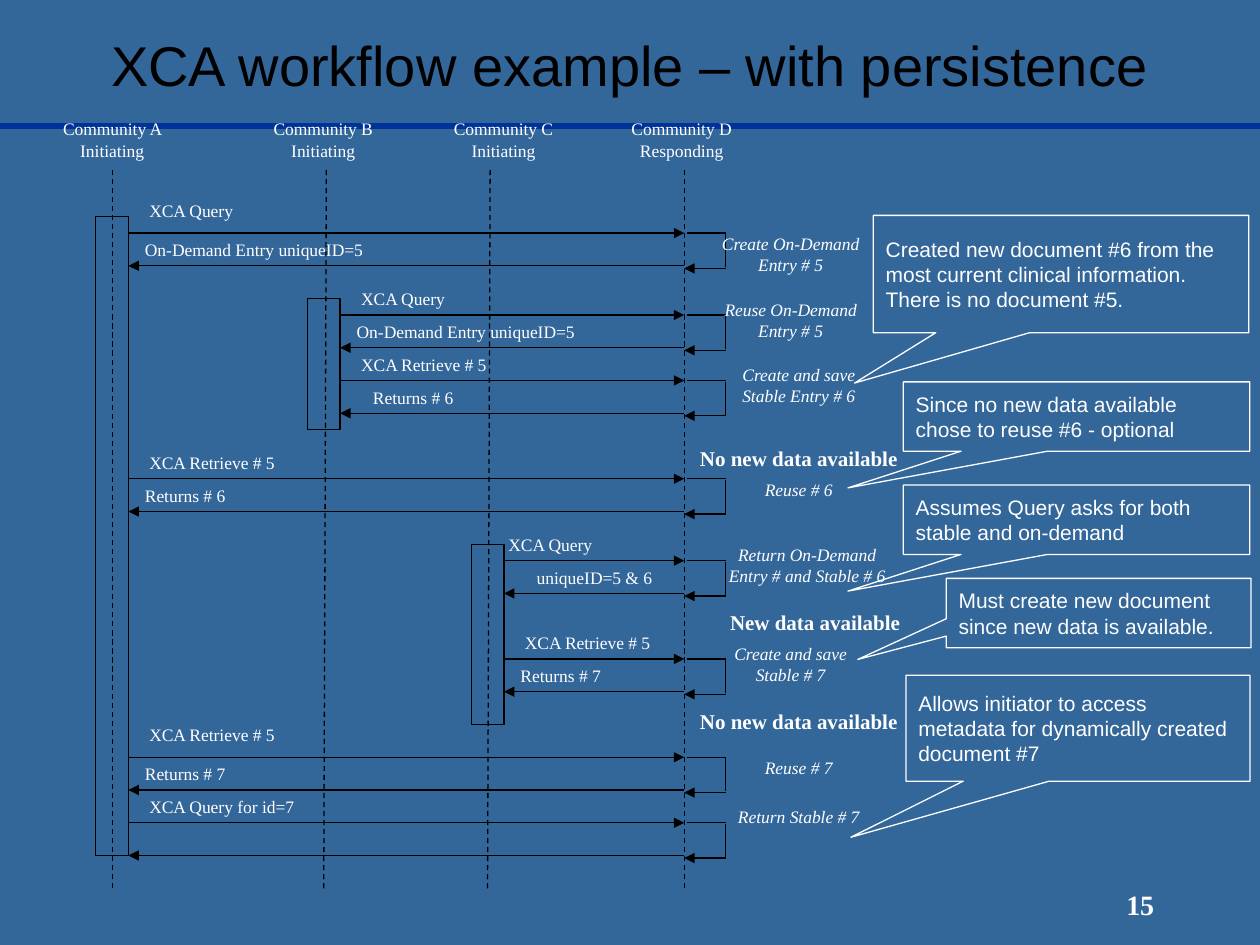
from lxml import etree
from pptx import Presentation
from pptx.dml.color import RGBColor
from pptx.enum.dml import MSO_LINE
from pptx.enum.shapes import MSO_CONNECTOR, MSO_SHAPE
from pptx.enum.text import MSO_ANCHOR, MSO_AUTO_SIZE, PP_ALIGN
from pptx.oxml.ns import qn
from pptx.util import Pt

BLACK = RGBColor(0x00, 0x00, 0x00)
WHITE = RGBColor(0xFF, 0xFF, 0xFF)
STEEL = RGBColor(0x33, 0x66, 0x99)
NAVY = RGBColor(0x00, 0x33, 0x99)
LEFT, CENTER = PP_ALIGN.LEFT, PP_ALIGN.CENTER
TOP, MIDDLE = MSO_ANCHOR.TOP, MSO_ANCHOR.MIDDLE
NO_FIT = MSO_AUTO_SIZE.NONE
STRAIGHT, DASH = MSO_CONNECTOR.STRAIGHT, MSO_LINE.DASH
RECTANGLE, CALLOUT = MSO_SHAPE.RECTANGLE, MSO_SHAPE.RECTANGULAR_CALLOUT
SANS, SERIF = "Arial", "Times New Roman"
PADDED = (7.2, 3.6, 7.2, 3.6)

STEP = 18.72
RESPONDER_X = 391
LOOP_X = 414.7
BAR_WIDTH = 18.72


def row_y(row):
    """Return the height of a row on the time axis."""
    return 133.2 + row * STEP


class SequenceSlide:
    """Holds the style and the slide of a sequence diagram."""

    def __init__(self, slide):
        self.slide = slide
        self.shapes = slide.shapes
        slide.background.fill.solid()
        slide.background.fill.fore_color.rgb = STEEL

    def put_wording(self, shape, wording, size, font=SERIF, color=WHITE, align=CENTER,
                    anchor=TOP, insets=(0, 0, 0, 0), bold=False, italic=False):
        """Fill a shape with one formatted paragraph."""
        frame = shape.text_frame
        frame.word_wrap = True
        frame.auto_size = NO_FIT
        frame.vertical_anchor = anchor
        (frame.margin_left, frame.margin_top,
         frame.margin_right, frame.margin_bottom) = map(Pt, insets)
        paragraph = frame.paragraphs[0]
        paragraph.alignment = align
        run = paragraph.add_run()
        run.text = wording
        run.font.name, run.font.size = font, Pt(size)
        run.font.bold, run.font.italic = bold, italic
        run.font.color.rgb = color

    def title(self, wording, box):
        """Place and fill the title placeholder."""
        heading = self.shapes.title
        heading.left, heading.top, heading.width, heading.height = map(Pt, box)
        self.put_wording(heading, wording, 32, SANS, BLACK, anchor=MIDDLE, insets=PADDED)

    def text(self, wording, box, size=10, **style):
        """Add a text box."""
        self.put_wording(self.shapes.add_textbox(*map(Pt, box)), wording, size, **style)

    def line(self, start, end, color=BLACK, width=0.75, dashed=False, arrow=False):
        """Add a straight line, with an arrowhead at its end if asked."""
        connector = self.shapes.add_connector(STRAIGHT, *map(Pt, start + end))
        connector.line.color.rgb = color
        connector.line.width = Pt(width)
        if dashed:
            connector.line.dash_style = DASH
        properties = connector.element.spPr
        if arrow:
            etree.SubElement(properties.find(qn("a:ln")), qn("a:tailEnd"), type="triangle")
        etree.SubElement(properties, qn("a:effectLst"))

    def outline(self, kind, box, color):
        """Add an unfilled shape."""
        shape = self.shapes.add_shape(kind, *map(Pt, box))
        shape.shadow.inherit = False
        shape.fill.background()
        shape.line.color.rgb = color
        shape.line.width = Pt(0.75)
        return shape

    def callout(self, wording, box, pointer):
        """Add a remark whose pointer ends at the given share of its size."""
        remark = self.outline(CALLOUT, box, WHITE)
        remark.adjustments[0], remark.adjustments[1] = pointer
        self.put_wording(remark, wording, 12, SANS, align=LEFT, anchor=MIDDLE, insets=PADDED)

    def loop(self, row):
        """Add the responder's own processing step."""
        top, bottom = row_y(row), row_y(row) + 20.2
        self.line((RESPONDER_X + 1.4, top), (LOOP_X, top))
        self.line((LOOP_X, top + 0.7), (LOOP_X, bottom - 0.7))
        self.line((LOOP_X, bottom), (RESPONDER_X, bottom), arrow=True)

    def exchange(self, row, caller_x, request, reply):
        """Add a request and the reply one row below, with their labels."""
        top, bottom = row_y(row), row_y(row + 1)
        self.line((caller_x, top), (RESPONDER_X, top), arrow=True)
        self.line((RESPONDER_X, bottom), (caller_x, bottom), arrow=True)
        self.loop(row)
        for (wording, x, *inset), y in ((request, top - STEP), (reply, top)):
            if wording:
                self.text(wording, (x, y, 131, 17.3), align=LEFT, insets=(*inset, 0, 0))


presentation = Presentation()
presentation.slide_width, presentation.slide_height = Pt(720), Pt(540)
diagram = SequenceSlide(presentation.slides.add_slide(presentation.slide_layouts[5]))

diagram.line((0, 72), (720, 72), NAVY, 3)
diagram.title("XCA workflow example – with persistence", (54, 2.9, 612, 67.7))
diagram.text("15", (600.5, 499, 102.2, 36), 16, anchor=MIDDLE, insets=PADDED, bold=True)

COMMUNITIES = [
    ("Community A Initiating", 26.6, 75, 64.1, 64.1),
    ("Community B Initiating", 147.6, 74.2, 186.5, 185),
    ("Community C Initiating", 250.6, 74.2, 280.1, 278.6),
    ("Community D Responding", 353.5, 72, RESPONDER_X, RESPONDER_X),
]
for community, name_x, name_width, top_x, bottom_x in COMMUNITIES:
    diagram.text(community, (name_x, 67.7, name_width, 25.2))
    diagram.line((bottom_x, 507.6), (top_x, 95.8), dashed=True)

A_X, B_X, C_X = 73.4, 194.4, 288
for caller_x, first_row, last_row in ((A_X, -0.5, 19), (B_X, 2, 6), (C_X, 9.5, 15)):
    diagram.outline(RECTANGLE, (caller_x - BAR_WIDTH, row_y(first_row), BAR_WIDTH,
                                (last_row - first_row) * STEP), BLACK)

RAISED, REQUEST, REPLY = (2.5, 0), (2.5, 3.6), (0, 3.6)
EXCHANGES = [
    (0, A_X, ("XCA Query", 82.8, *RAISED), ("On-Demand Entry uniqueID=5", 82.8, *REPLY)),
    (2.5, B_X, ("XCA Query", 203.8, *REQUEST), ("On-Demand Entry uniqueID=5", 203.8, *REPLY)),
    (4.5, B_X, ("XCA Retrieve # 5", 203.8, *REQUEST), ("Returns # 6", 213.1, *REPLY)),
    (7.5, A_X, ("XCA Retrieve # 5", 82.8, *REQUEST), ("Returns # 6", 82.8, *REPLY)),
    (10, C_X, ("XCA Query", 288, *REQUEST), ("uniqueID=5 & 6", 306.7, *REPLY)),
    (13, C_X, ("XCA Retrieve # 5", 297.4, *REQUEST), ("Returns # 7", 297.4, *REPLY)),
    (16, A_X, ("XCA Retrieve # 5", 82.8, *RAISED), ("Returns # 7", 82.8, *REPLY)),
    (18, A_X, ("XCA Query for id=7", 82.8, *REQUEST), ("", 82.8, *REPLY)),
]
for exchange in EXCHANGES:
    diagram.exchange(*exchange)

OUTCOMES = [
    ("Create On-Demand Entry # 5", 409.7, 0, 84.2, 1.5),
    ("Reuse On-Demand Entry # 5", 409.7, 2, 84.2, 1.5),
    ("Create and save Stable Entry # 6", 419, 4, 74.9, 2),
    ("Reuse # 6", 419, 7.5, 74.9, 1),
    ("Return On-Demand Entry # and Stable # 6", 409.7, 9.5, 103, 2.5),
    ("Create and save Stable # 7", 409.7, 12.5, 84.2, 2),
    ("Reuse # 7", 419, 16, 74.9, 1),
    ("Return Stable # 7", 419, 17.5, 74.9, 1.5),
]
for outcome, x, row, width, rows in OUTCOMES:
    diagram.text(outcome, (x, row_y(row), width, rows * STEP), italic=True)

DATA_STATES = [
    ("No new data available", 391, 6.5, 131),
    ("New data available", 409.7, 11.5, 112.3),
    ("No new data available", 391, 14.5, 131),
]
for state, x, row, width in DATA_STATES:
    diagram.text(state, (x, row_y(row), width, STEP), 12, bold=True)

REMARKS = [
    ("Created new document #6 from the most current clinical information. "
     "There is no document #5.", (499, 123.1, 214.6, 67), (-0.55, 0.93)),
    ("Since no new data available chose to reuse #6 - optional",
     (516.2, 218.2, 198, 39.6), (-0.66, 1.03)),
    ("Assumes Query asks for both stable and on-demand",
     (516.2, 277.2, 198, 39.6), (-0.66, 1.03)),
    ("Must create new document since new data is available.",
     (540.7, 330.5, 174.2, 39.6), (-0.79, 0.67)),
    ("Allows initiator to access metadata for dynamically created document #7",
     (517.7, 385.9, 196.6, 60.5), (-0.66, 1.03)),
]
for remark in REMARKS:
    diagram.callout(*remark)

presentation.save("out.pptx")
